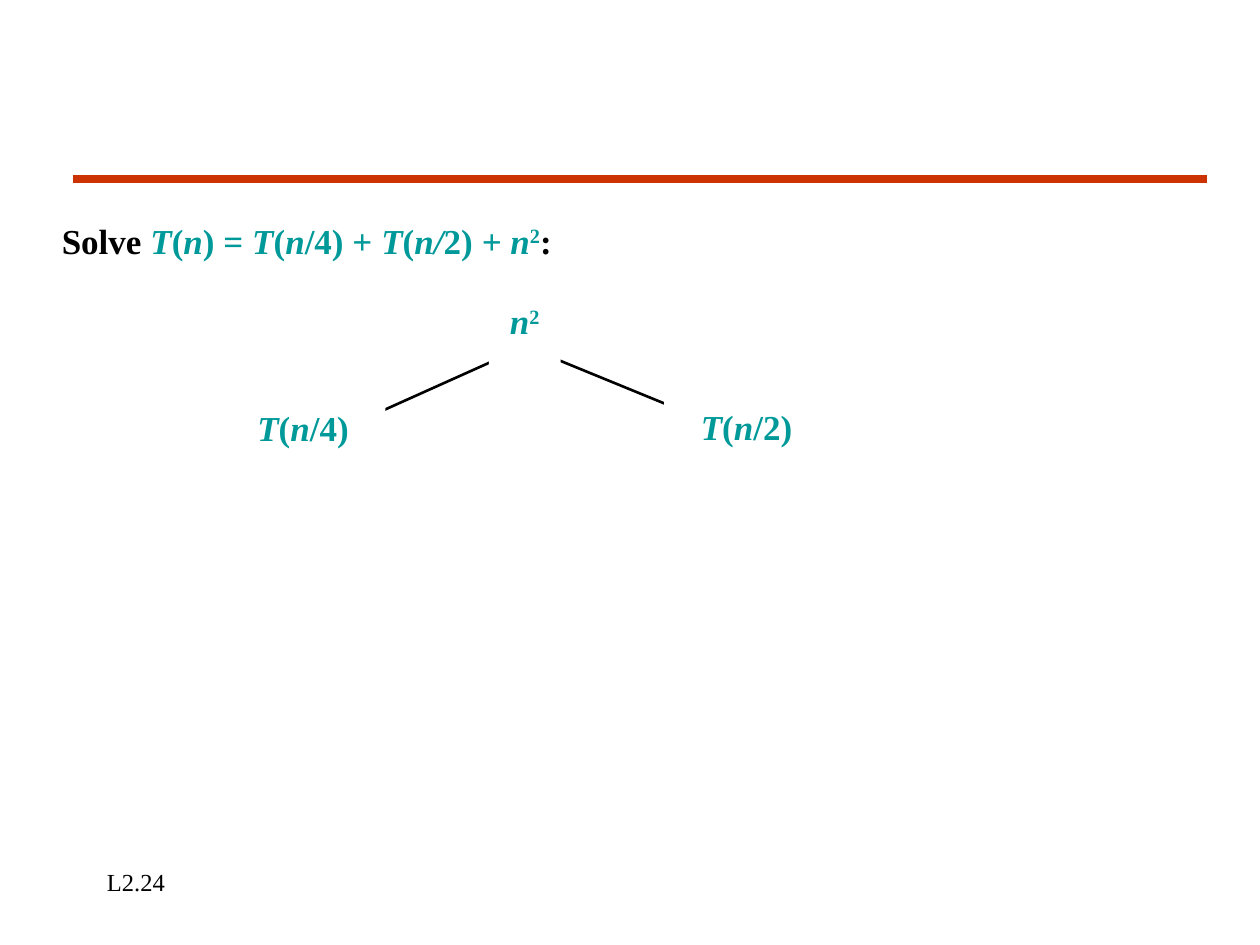
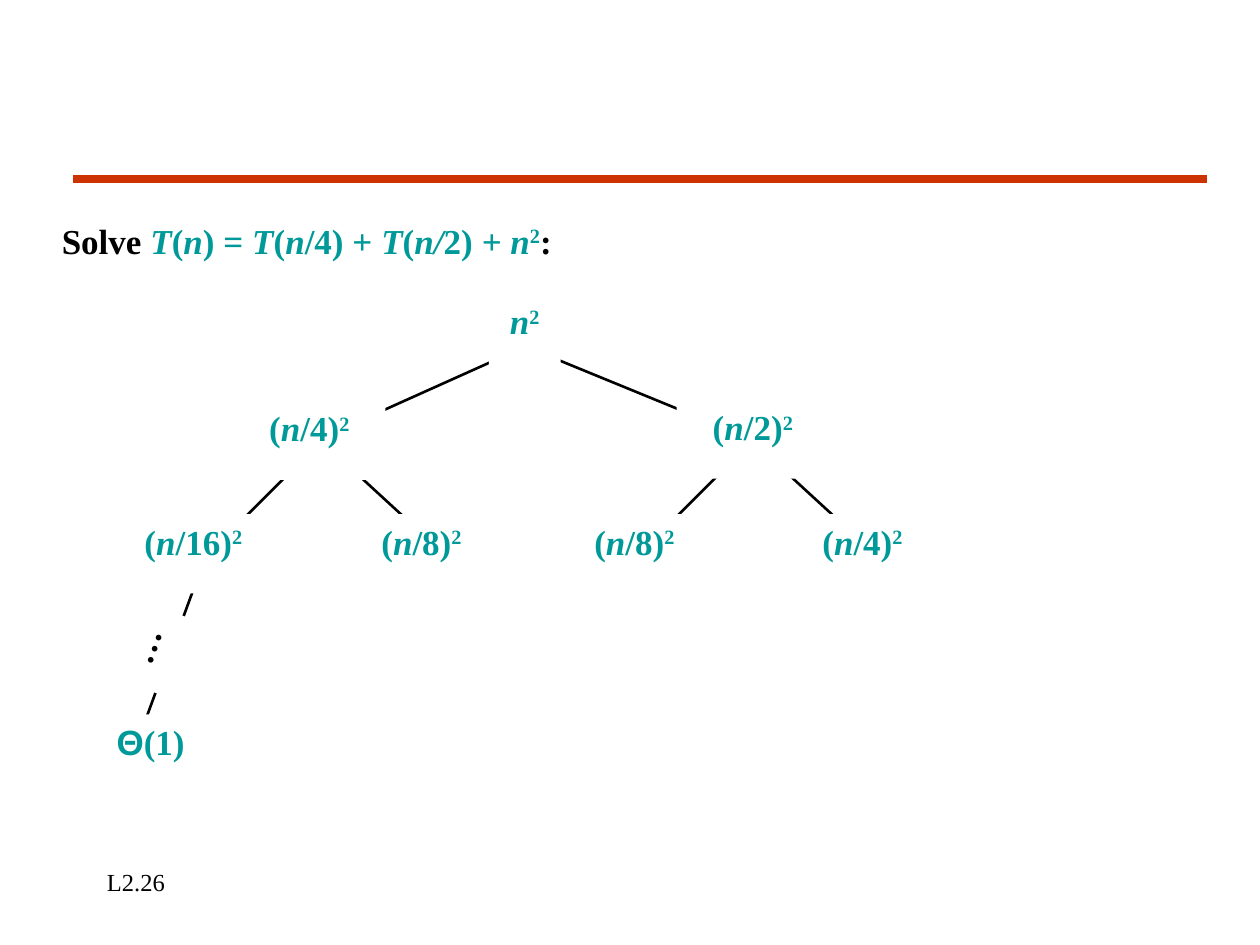
import pptx
import pptx.util
import pptx.dml.color
import pptx.enum.shapes
import pptx.enum.text
import pptx.oxml.ns
from lxml import etree

Inches = pptx.util.Inches
ALIGN = pptx.enum.text.PP_ALIGN

COLORS = {"formula": "009999", "text": "000000", "rule": "CC3300", "paper": "FFFFFF"}
SERIF = "Times New Roman"
NODE_HEIGHT = 0.63

RECURRENCE = [
    ("Solve ", "black"), ("T", "italic"), ("(", ""), ("n", "italic"), (") = ", ""),
    ("T", "italic"), ("(", ""), ("n", "italic"), ("/4) + ", ""),
    ("T", "italic"), ("(", ""), ("n/", "italic"), ("2)", ""),
    (" + n", "italic"), ("2", "super"), (":", "black"),
]


def subproblem(divisor):
    return [("T", "italic"), ("(", ""), ("n", "italic"), (f"/{divisor})", "")]


def cost(divisor):
    return [("(", ""), ("n", "italic"), (f"/{divisor})", ""), ("2", "super")]


ROOT = ([("n", "italic"), ("2", "super")], 3.88, 2.33, 0.57, 0)
ROOT_POINT = (4.17, 2.75)
ROOT_BRANCHES = [(ROOT_POINT, (2.5, 3.5)), (ROOT_POINT, (6, 3.5))]

LEAF_TOP, LEAF_JOIN = 4.08, 4.42
LEAF_BRANCHES = [
    ((parent, 3.5), (leaf, LEAF_JOIN))
    for parent, leaves in [(2.55, (1.63, 3.55)), (5.97, (5.05, 6.97))]
    for leaf in leaves
]

PAGES = [
    {
        "number": "L2.24",
        "branches": ROOT_BRANCHES,
        "nodes": [
            (subproblem(4), 1.75, 3.18, 1.31, 0),
            (subproblem(2), 5.27, 3.17, 1.31, 0),
            ROOT,
        ],
    },
    {
        "number": "L2.26",
        "branches": ROOT_BRANCHES + LEAF_BRANCHES + [((1.63, LEAF_JOIN), (1.05, 6))],
        "nodes": [
            (cost(16), 0.82, LEAF_TOP, 1.43, 0),
            (cost(8), 2.74, LEAF_TOP, 1.21, 0),
            (cost(8), 4.43, LEAF_TOP, 1.21, 0),
            (cost(4), 6.24, LEAF_TOP, 1.21, 0),
            (cost(4), 1.85, 3.18, 1.21, 0),
            (cost(2), 5.37, 3.17, 1.21, 0),
            ([("Θ", "sans"), ("(1)", "")], 0.67, 5.67, 1.05, 0),
            ([("…", "black")], 0.91, 4.84, 0.65, 289.4),
            ROOT,
        ],
    },
]


def rgb(name):
    return pptx.dml.color.RGBColor.from_string(COLORS[name])


def write(box, spans, align, size=20, bold=True):
    frame = box.text_frame
    frame.word_wrap = True
    frame.auto_size = pptx.enum.text.MSO_AUTO_SIZE.NONE
    frame.vertical_anchor = pptx.enum.text.MSO_ANCHOR.TOP
    para = frame.paragraphs[0]
    para.alignment = align
    for text, style in spans:
        span = para.add_run()
        span.text = text
        font = span.font
        font.name = "Arial" if style == "sans" else SERIF
        font.size = pptx.util.Pt(size)
        font.bold = bold
        font.italic = style == "italic"
        font.color.rgb = rgb("text" if style == "black" else "formula")
        if style == "super":
            span._r.get_or_add_rPr().set("baseline", "30000")


def add_line(page, start, end, color, width):
    line = page.shapes.add_connector(
        pptx.enum.shapes.MSO_CONNECTOR.STRAIGHT, *map(Inches, start + end))
    line.line.color.rgb = rgb(color)
    line.line.width = pptx.util.Pt(width)
    etree.SubElement(line._element.spPr, pptx.oxml.ns.qn("a:effectLst"))


def add_node(page, spans, left, top, width, rotation):
    node = page.shapes.add_shape(
        pptx.enum.shapes.MSO_SHAPE.RECTANGLE,
        *map(Inches, (left, top, width, NODE_HEIGHT)))
    node.shadow.inherit = False
    node.fill.solid()
    node.fill.fore_color.rgb = rgb("paper")
    node.line.fill.background()
    node.rotation = rotation
    write(node, spans, ALIGN.CENTER)


def add_frame(page, number):
    add_line(page, (0.58, 1.42), (9.58, 1.42), "rule", 4.5)
    footer = page.shapes.add_textbox(*map(Inches, (0.75, 6.83, 2.08, 0.5)))
    write(footer, [(number, "black")], ALIGN.LEFT, size=14, bold=False)
    title = page.shapes.title
    title.left, title.top, title.width, title.height = map(
        Inches, (0.39, 1.69, 6.27, NODE_HEIGHT))
    write(title, RECURRENCE, ALIGN.LEFT)


def main():
    deck = pptx.Presentation()
    deck.slide_width, deck.slide_height = Inches(10), Inches(7.5)
    title_only = deck.slide_layouts[5]
    for content in PAGES:
        page = deck.slides.add_slide(title_only)
        add_frame(page, content["number"])
        for start, end in content["branches"]:
            add_line(page, start, end, "text", 1.5)
        for node in content["nodes"]:
            add_node(page, *node)
    deck.save("out.pptx")


if __name__ == "__main__":
    main()
